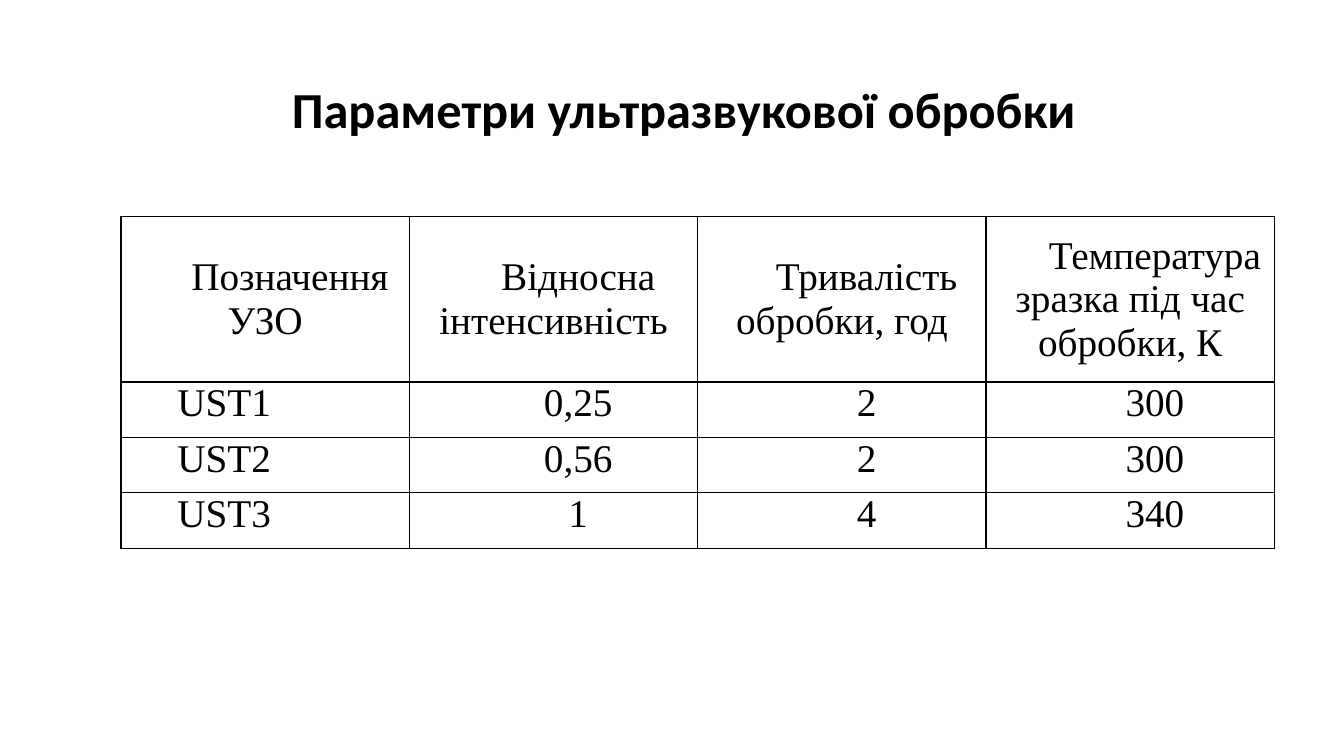
from lxml.etree import SubElement
from pptx import Presentation
from pptx.dml.color import RGBColor
from pptx.enum.text import MSO_ANCHOR, PP_ALIGN
from pptx.oxml.ns import qn
from pptx.util import Inches, Pt

COLORS = {"ink": "000000"}
TITLE_FONT = {"name": "Calibri", "size": Pt(36), "bold": True}
CELL_FONT = {"name": "Times New Roman", "size": Pt(28), "bold": False}
CELL_MARGINS = {
    "margin_left": Inches(0.07),
    "margin_right": Inches(0.07),
    "margin_top": 0,
    "margin_bottom": 0,
}
ROW_HEIGHTS = [0.55, 1.64, 0.55, 0.55, 0.55]
COLUMN_WIDTH = 2.86
TREATMENTS = [
    ["Позначення УЗО", "Відносна інтенсивність", "Тривалість обробки, год",
     "Температура зразка під час обробки, К"],
    ["UST1", "0,25", "2", "300"],
    ["UST2", "0,56", "2", "300"],
    ["UST3", "1", "4", "340"],
]


def apply_format(target, values):
    for name, value in values.items():
        setattr(target, name, value)


def write_text(frame, text, font, alignment):
    para = frame.paragraphs[0]
    para.alignment = alignment
    span = para.add_run()
    span.text = text
    apply_format(span.font, font)
    span.font.color.rgb = RGBColor.from_string(COLORS["ink"])
    return para


def add_title(page, text):
    box = page.shapes.add_textbox(Inches(0.92), Inches(0.5), Inches(11.73), Inches(0.93))
    frame = box.text_frame
    apply_format(frame, {"word_wrap": True, "vertical_anchor": MSO_ANCHOR.BOTTOM})
    para = write_text(frame, text, TITLE_FONT, PP_ALIGN.CENTER)
    para.line_spacing = 0.9


def set_borders(cell, sides):
    properties = cell._tc.get_or_add_tcPr()
    for side in sides:
        line = SubElement(properties, qn(f"a:ln{side}"), w=str(Pt(1)))
        fill = SubElement(line, qn("a:solidFill"))
        SubElement(fill, qn("a:srgbClr"), val=COLORS["ink"])


def fill_cell(cell, text, alignment, anchor):
    apply_format(cell, CELL_MARGINS)
    cell.vertical_anchor = anchor
    para = write_text(cell.text_frame, text, CELL_FONT, alignment)
    apply_indent = para._p.get_or_add_pPr()
    apply_indent.set("marL", "0")
    apply_indent.set("indent", str(Inches(0.49)))
    set_borders(cell, "LRTB")
    cell.fill.background()


def add_treatment_table(page):
    columns = len(TREATMENTS[0])
    frame = page.shapes.add_table(
        len(ROW_HEIGHTS), columns, Inches(1.2), Inches(1.6),
        Inches(COLUMN_WIDTH * columns), Inches(sum(ROW_HEIGHTS)))
    table = frame.table
    apply_format(table, {"first_row": False, "horz_banding": False})
    for column in table.columns:
        column.width = Inches(COLUMN_WIDTH)
    for row, height in zip(table.rows, ROW_HEIGHTS):
        row.height = Inches(height)
    for cell in table.rows[0].cells:
        set_borders(cell, "B")
        cell.fill.background()
    table.cell(0, 0).merge(table.cell(0, columns - 1))
    for row_index, texts in enumerate(TREATMENTS):
        header = row_index == 0
        anchor = MSO_ANCHOR.MIDDLE if header else MSO_ANCHOR.TOP
        for column_index, text in enumerate(texts):
            label = column_index == 0 and not header
            alignment = PP_ALIGN.JUSTIFY if label else PP_ALIGN.CENTER
            fill_cell(table.cell(row_index + 1, column_index), text, alignment, anchor)


def main():
    deck = Presentation()
    apply_format(deck, {"slide_width": Inches(13.33), "slide_height": Inches(7.5)})
    page = deck.slides.add_slide(deck.slide_layouts[6])
    add_title(page, "Параметри ультразвукової обробки")
    add_treatment_table(page)
    deck.save("out.pptx")


if __name__ == "__main__":
    main()
